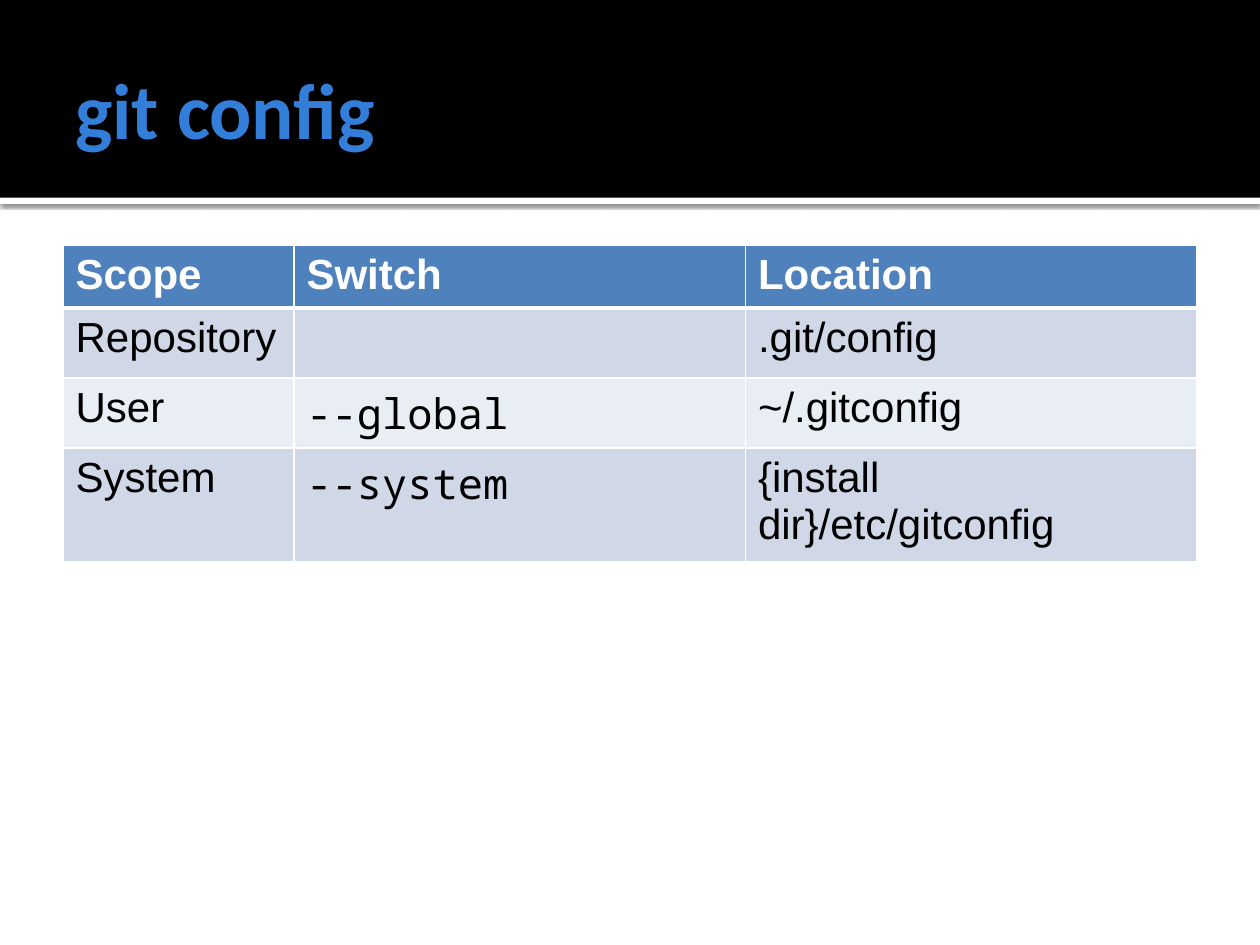
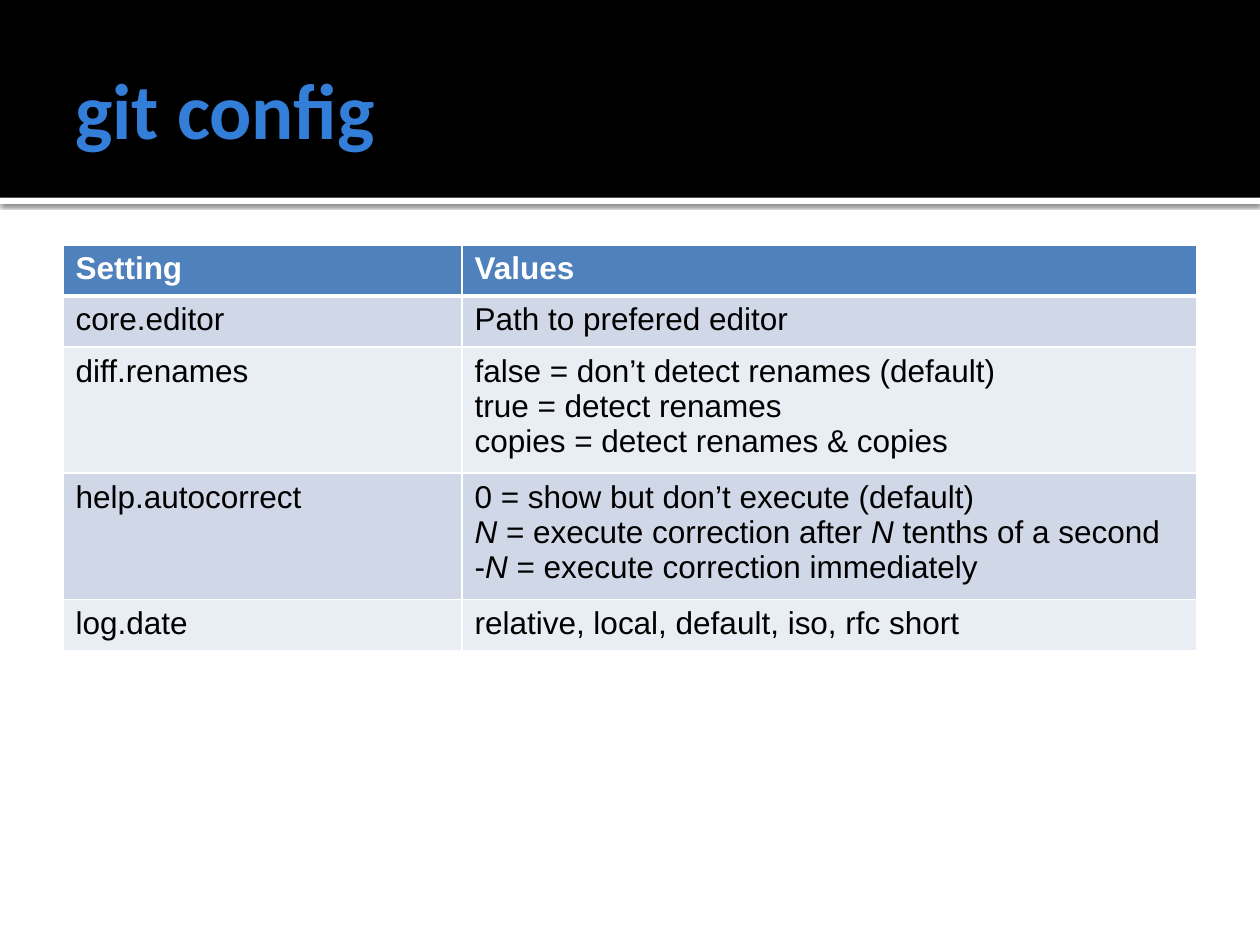
from lxml.etree import SubElement
from pptx import Presentation
from pptx.dml.color import RGBColor
from pptx.enum.shapes import MSO_SHAPE
from pptx.enum.text import MSO_ANCHOR
from pptx.oxml.ns import qn
from pptx.util import Pt

BODY, TITLE, MONO = "Arial", "Calibri", "Noto Sans Mono"
WHITE, BLACK, TITLE_BLUE = "FFFFFF", "000000", "337ED9"
HEADER_BLUE, BANDS = "4F81BD", ("D0D8E8", "E9EDF4")
SLIDE_WIDTH, SLIDE_HEIGHT = 720, 540
BAND_HEIGHT, RULE_HEIGHT = 113, 3.6
MARGIN, TABLE_TOP = 36, 140

# Each cell is a list of paragraphs; asterisks enclose italics.
SLIDES = [
    {
        "title": "git config",
        "size": 24,
        "columns": [132, 258, 258],
        "heights": [33.6, 40, 40, 60.6],
        "rows": [
            [["Scope"], ["Switch"], ["Location"]],
            [["Repository"], [], [".git/config"]],
            [["User"], ["--global"], ["~/.gitconfig"]],
            [["System"], ["--system"], ["{install dir}/etc/gitconfig"]],
        ],
    },
    {
        "title": "git config",
        "size": 18,
        "columns": [228, 420],
        "heights": [29.2, 29.2, 67.6, 67.6, 29.2],
        "rows": [
            [["Setting"], ["Values"]],
            [["core.editor"], ["Path to prefered editor"]],
            [["diff.renames"], [
                "false = don’t detect renames (default)\ntrue = detect renames",
                "copies = detect renames & copies",
            ]],
            [["help.autocorrect"], [
                "0 = show but don’t execute (default)",
                "*N* = execute correction after *N* tenths of a second",
                "-*N* = execute correction immediately",
            ]],
            [["log.date"], ["relative, local, default, iso, rfc short"]],
        ],
    },
]


def color(value):
    return RGBColor.from_string(value)


def add_run(paragraph, text, font, size, ink, bold=False, italic=False):
    run = paragraph.add_run()
    run.text = text
    run.font.name = font
    run.font.size = Pt(size)
    run.font.color.rgb = color(ink)
    run.font.bold = bold
    run.font.italic = italic


def add_band(slide, top, height, fill):
    band = slide.shapes.add_shape(
        MSO_SHAPE.RECTANGLE, 0, Pt(top), Pt(SLIDE_WIDTH), Pt(height))
    band.shadow.inherit = False
    band.fill.solid()
    band.fill.fore_color.rgb = color(fill)
    band.line.fill.background()
    return band


def add_shadow(shape):
    effects = shape._element.spPr.find(qn("a:effectLst"))
    shadow = SubElement(effects, qn("a:outerShdw"), blurRad=str(Pt(2.5)),
                        dist=str(Pt(0.8)), dir="5400000", rotWithShape="0")
    tint = SubElement(shadow, qn("a:srgbClr"), val=BLACK)
    SubElement(tint, qn("a:alpha"), val="60000")


def add_title(slide, text):
    title = slide.shapes.add_textbox(
        Pt(MARGIN), Pt(12.2), Pt(SLIDE_WIDTH - 2 * MARGIN), Pt(98.6))
    frame = title.text_frame
    frame.word_wrap = True
    frame.vertical_anchor = MSO_ANCHOR.MIDDLE
    frame.margin_left = Pt(7.2)
    frame.margin_right = frame.margin_top = frame.margin_bottom = Pt(3.6)
    add_run(frame.paragraphs[0], text, TITLE, 45, TITLE_BLUE, bold=True)


def set_borders(cell, row):
    widths = {"L": 1, "R": 1, "T": 3 if row == 1 else 1, "B": 3 if row == 0 else 1}
    properties = cell._tc.get_or_add_tcPr()
    for side, width in widths.items():
        line = SubElement(properties, qn(f"a:ln{side}"), w=str(Pt(width)))
        fill = SubElement(line, qn("a:solidFill"))
        SubElement(fill, qn("a:srgbClr"), val=WHITE)


def fill_cell(cell, paragraphs, row, size):
    header = row == 0
    set_borders(cell, row)
    cell.fill.solid()
    cell.fill.fore_color.rgb = color(HEADER_BLUE if header else BANDS[(row - 1) % 2])
    frame = cell.text_frame
    for number, text in enumerate(paragraphs):
        paragraph = frame.add_paragraph() if number else frame.paragraphs[0]
        font = MONO if text.startswith("--") else BODY
        for line_number, line in enumerate(text.split("\n")):
            if line_number:
                paragraph.add_line_break()
            for part_number, part in enumerate(line.split("*")):
                if part:
                    add_run(paragraph, part, font, size, WHITE if header else BLACK,
                            bold=header, italic=part_number % 2 == 1)


def add_settings(slide, content):
    columns, heights, rows = content["columns"], content["heights"], content["rows"]
    table = slide.shapes.add_table(
        len(rows), len(columns), Pt(MARGIN), Pt(TABLE_TOP),
        Pt(sum(columns)), Pt(sum(heights))).table
    for column, width in zip(table.columns, columns):
        column.width = Pt(width)
    for row, height in zip(table.rows, heights):
        row.height = Pt(height)
    for r, row in enumerate(rows):
        for c, paragraphs in enumerate(row):
            fill_cell(table.cell(r, c), paragraphs, r, content["size"])


def main():
    deck = Presentation()
    deck.slide_width, deck.slide_height = Pt(SLIDE_WIDTH), Pt(SLIDE_HEIGHT)
    for content in SLIDES:
        slide = deck.slides.add_slide(deck.slide_layouts[6])
        add_shadow(add_band(slide, BAND_HEIGHT, RULE_HEIGHT, WHITE))
        add_band(slide, 0, BAND_HEIGHT, BLACK)
        add_title(slide, content["title"])
        add_settings(slide, content)
    deck.save("out.pptx")


if __name__ == "__main__":
    main()
